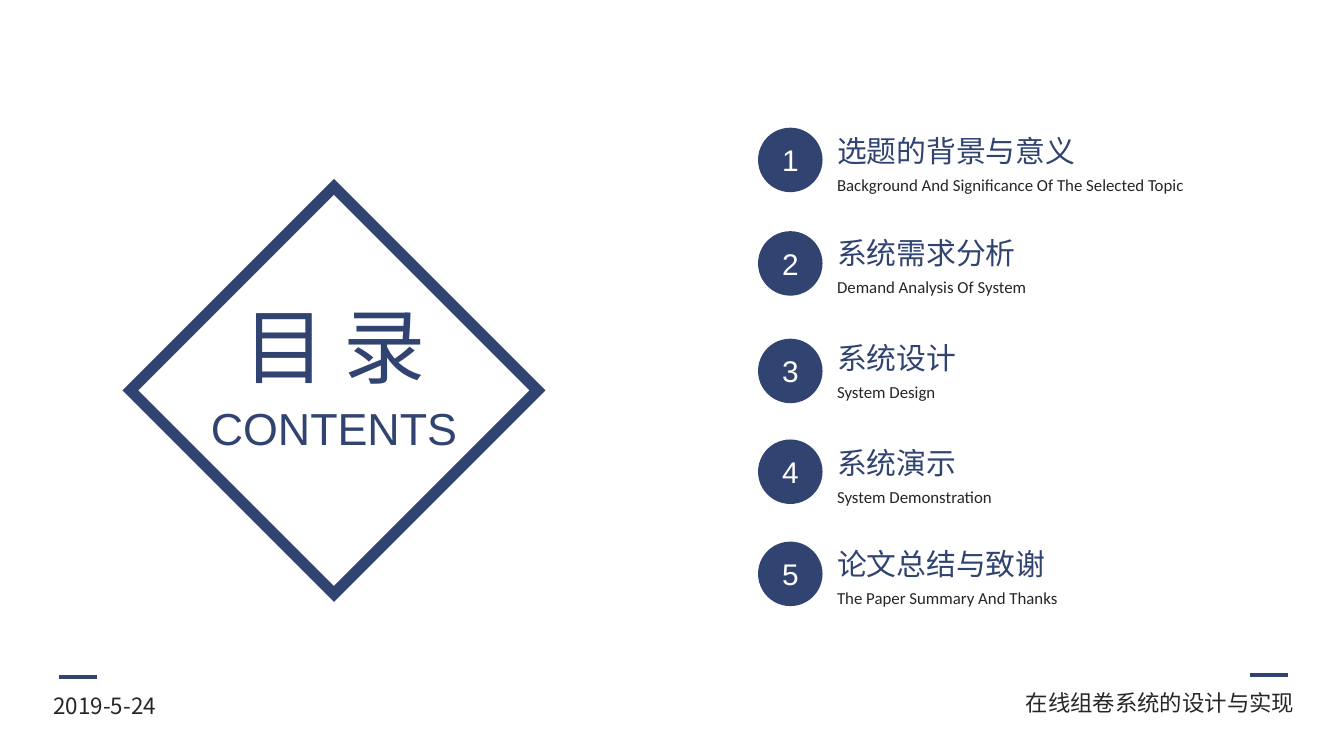
from lxml import etree
from pptx import Presentation
from pptx.dml.color import RGBColor
from pptx.enum.shapes import MSO_CONNECTOR, MSO_SHAPE
from pptx.enum.text import MSO_ANCHOR, MSO_AUTO_SIZE, PP_ALIGN
from pptx.oxml.ns import qn
from pptx.util import Inches, Pt

NAVY = RGBColor(0x30, 0x43, 0x71)
INK = RGBColor(0x26, 0x26, 0x26)
WHITE = RGBColor(0xFF, 0xFF, 0xFF)
LEFT, CENTER, RIGHT = PP_ALIGN.LEFT, PP_ALIGN.CENTER, PP_ALIGN.RIGHT
TOP, MIDDLE = MSO_ANCHOR.TOP, MSO_ANCHOR.MIDDLE
FIT = MSO_AUTO_SIZE.SHAPE_TO_FIT_TEXT
STRAIGHT = MSO_CONNECTOR.STRAIGHT
OVAL, DIAMOND = MSO_SHAPE.OVAL, MSO_SHAPE.DIAMOND
CJK, LATIN, SMALL = "Noto Sans CJK SC", "Arial", "Calibri"

deck = Presentation()
deck.slide_width = Inches(10)
deck.slide_height = deck.slide_width * 9 // 16
slide = deck.slides.add_slide(deck.slide_layouts[5])
shapes = slide.shapes


def write(holder, text, size, face, color, align=LEFT, anchor=TOP):
    frame = holder.text_frame
    frame.text = text
    for key, value in {"word_wrap": False, "vertical_anchor": anchor}.items():
        setattr(frame, key, value)
    paragraph = frame.paragraphs[0]
    paragraph.alignment = align
    font = paragraph.runs[0].font
    for key, value in {"size": Pt(size), "name": face}.items():
        setattr(font, key, value)
    font.color.rgb = color
    east_asian = etree.SubElement(paragraph.runs[0]._r.get_or_add_rPr(), qn("a:ea"))
    east_asian.set("typeface", face)


def add_label(box, *text_format):
    label = shapes.add_textbox(*map(Inches, box))
    write(label, *text_format)
    label.text_frame.auto_size = FIT


heading = shapes.title
heading_box = {"left": 1.68, "top": 2.15, "width": 1.62, "height": 0.84}
for key, value in heading_box.items():
    setattr(heading, key, Inches(value))
write(heading, "目 录", 44, CJK, NAVY, CENTER)
heading.text_frame.auto_size = FIT

frame_diamond = shapes.add_shape(DIAMOND, *map(Inches, (0.97, 1.39, 3.03, 3.03)))
frame_diamond.shadow.inherit = False
frame_diamond.fill.background()
frame_diamond.line.color.rgb = NAVY
frame_diamond.line.width = Pt(6)
corner = etree.SubElement(frame_diamond.line._get_or_add_ln(), qn("a:miter"))
corner.set("lim", "800000")
add_label((1.46, 2.93, 2.05, 0.5), "CONTENTS", 24, LATIN, NAVY, CENTER)

chapters = [
    (0.94, 0.95, "选题的背景与意义", 2, "Background And Significance Of The Selected Topic", 2.8),
    (1.7, 1.72, "系统需求分析", 1.55, "Demand Analysis Of System", 1.61),
    (2.48, 2.52, "系统设计", 1.1, "System Design", 0.94),
    (3.26, 3.27, "系统演示", 1.1, "System Demonstration", 1.37),
    (4.01, 4.03, "论文总结与致谢", 1.77, "The Paper Summary And Thanks", 1.84),
]
NUMBER_COLUMN, TEXT_COLUMN, DISC = 5.64, 6.13, 0.48

for order, chapter_row in enumerate(chapters, 1):
    top, disc_top, chapter, chapter_width, english, english_width = chapter_row
    add_label((TEXT_COLUMN, top, chapter_width, 0.37), chapter, 16, CJK, NAVY)
    add_label((TEXT_COLUMN, top + 0.31, english_width, 0.25), english, 9, SMALL, INK)
    number = shapes.add_shape(OVAL, *map(Inches, (NUMBER_COLUMN, disc_top, DISC, DISC)))
    number.shadow.inherit = False
    number.fill.solid()
    number.fill.fore_color.rgb = NAVY
    number.line.fill.background()
    write(number, str(order), 16, LATIN, WHITE, CENTER, MIDDLE)

footers = [
    (0.44, 5.04, (0.3, 5.1, 1.04, 0.3), "2019-5-24", LEFT),
    (9.3, 5.02, (7.51, 5.08, 2.22, 0.3), "在线组卷系统的设计与实现", RIGHT),
]
for dash_left, dash_top, box, footer, align in footers:
    ends = (dash_left, dash_top, dash_left + 0.28, dash_top)
    dash = shapes.add_connector(STRAIGHT, *map(Inches, ends))
    dash.line.color.rgb = NAVY
    dash.line.width = Pt(2.25)
    etree.SubElement(dash._element.spPr, qn("a:effectLst"))
    add_label(box, footer, 12, CJK, INK, align)

deck.save("out.pptx")
